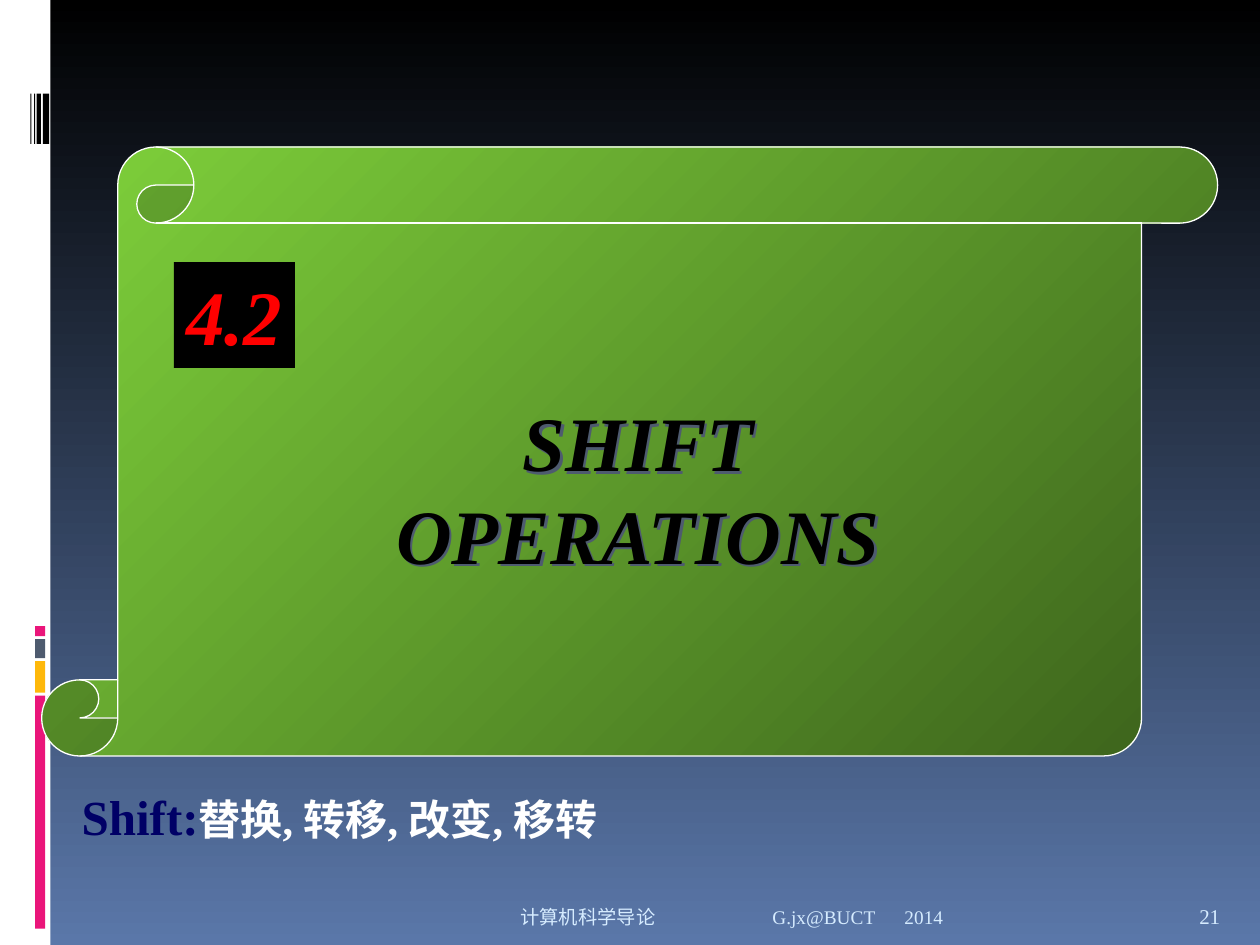
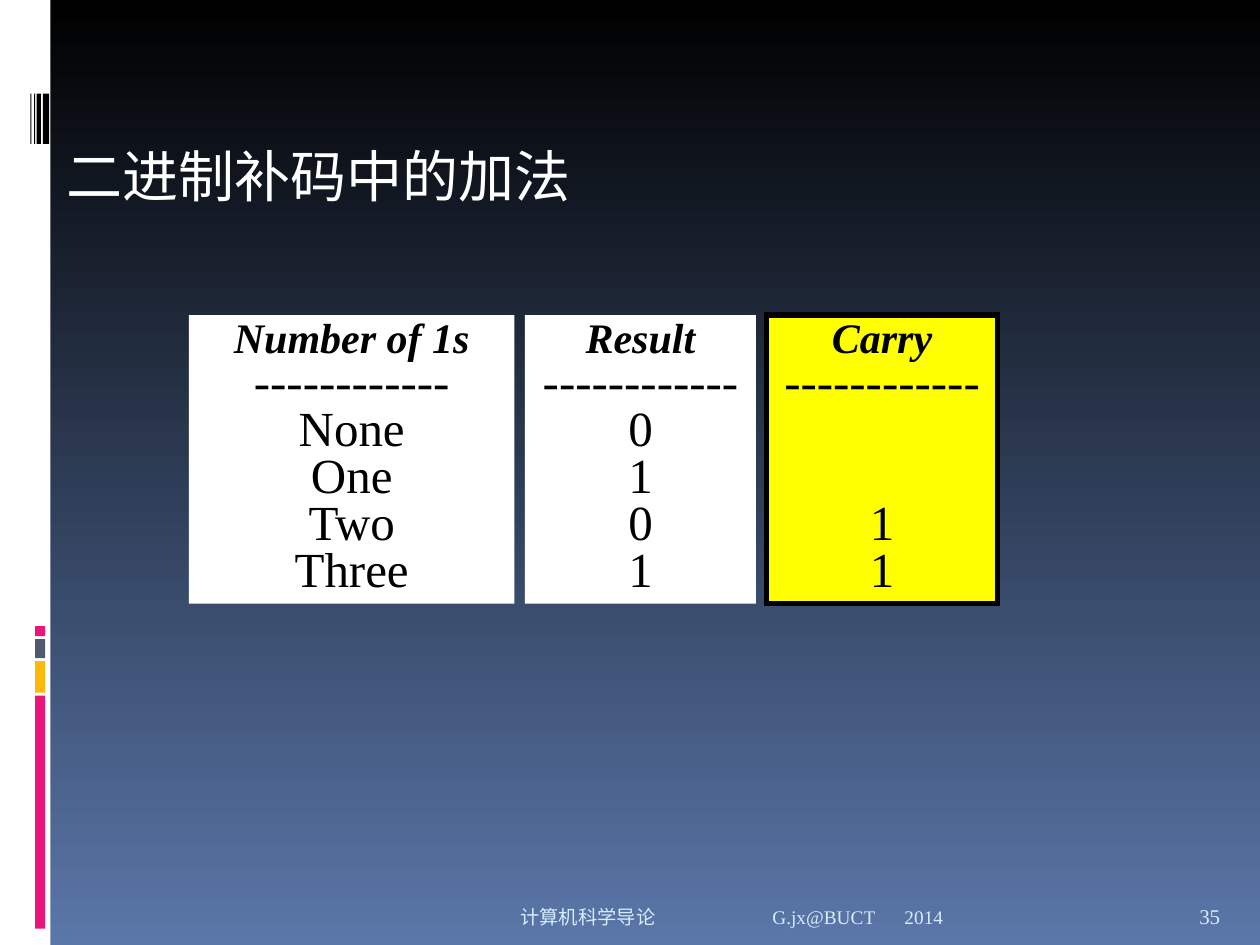
from lxml.etree import SubElement
from pptx import Presentation
from pptx.dml.color import RGBColor
from pptx.enum.shapes import MSO_SHAPE
from pptx.enum.text import MSO_ANCHOR, PP_ALIGN
from pptx.oxml.ns import qn
from pptx.util import Pt

FONT = "Times New Roman"
WHITE, BLACK, RED, YELLOW = "FFFFFF", "000000", "FF0000", "FFFF00"
PINK, AMBER, SLATE = "EA157A", "FEB80A", "4E5B6F"
PALE_BLUE, NAVY, SKY = "D6ECFF", "000066", "5A77A9"
GREEN, DARK_GREEN = "7FD13B", "3B611B"
SLIDE_WIDTH, SLIDE_HEIGHT = 720, 540
CONTENT_BOX = (28.8, 0, 691.2, 540)


def color(hex_string):
    """Return the colour for a hex string."""
    return RGBColor.from_string(hex_string)


def set_gradient(fill, start, end, angle):
    """Apply a two-colour linear gradient, angle counter-clockwise."""
    fill.gradient()
    fill.gradient_angle = angle
    for stop, position, hex_string in zip(fill.gradient_stops, (0, 1), (start, end)):
        stop.position = position
        stop.color.rgb = color(hex_string)


def add_box(slide, left, top, width, height, fill=None, line=None,
            line_width=0.75, kind=MSO_SHAPE.RECTANGLE):
    """Add a preset shape without shadow and return it."""
    shape = slide.shapes.add_shape(kind, Pt(left), Pt(top), Pt(width), Pt(height))
    shape.shadow.inherit = False
    if fill:
        shape.fill.solid()
        shape.fill.fore_color.rgb = color(fill)
    if line:
        shape.line.color.rgb = color(line)
        shape.line.width = Pt(line_width)
        SubElement(shape._element.spPr.find(qn("a:ln")), qn("a:miter"), lim="800000")
    else:
        shape.line.fill.background()
    return shape


def add_text_box(slide, left, top, width, height):
    """Add an empty text box and return it."""
    return slide.shapes.add_textbox(Pt(left), Pt(top), Pt(width), Pt(height))


def add_text_shadow(box):
    """Cast a small shadow from the text of an unfilled box."""
    effects = SubElement(box._element.spPr, qn("a:effectLst"))
    shadow = SubElement(effects, qn("a:outerShdw"), dist=str(Pt(2)), dir="2700000",
                        algn="ctr", rotWithShape="0")
    SubElement(shadow, qn("a:srgbClr"), val=SLATE)


def add_tab_stops(paragraph):
    """Put a left tab stop at every inch."""
    tab_list = SubElement(paragraph._p.get_or_add_pPr(), qn("a:tabLst"))
    for index in range(8):
        SubElement(tab_list, qn("a:tab"), pos=str(Pt(72 * index)), algn="l")


def add_run(paragraph, text, size=28, hex_color=BLACK, bold=False, italic=False):
    """Append a formatted run to a paragraph."""
    run = paragraph.add_run()
    run.text = text
    font = run.font
    font.name, font.size, font.bold, font.italic = FONT, Pt(size), bold, italic
    font.color.rgb = color(hex_color)


def write_text(shape, text, align=PP_ALIGN.LEFT, anchor=MSO_ANCHOR.TOP,
               wrap=True, tabs=False, **run_format):
    """Write lines of text with one format and return the last paragraph."""
    frame = shape.text_frame
    frame.word_wrap = wrap
    frame.vertical_anchor = anchor
    for index, line in enumerate(text.split("\n")):
        paragraph = frame.add_paragraph() if index else frame.paragraphs[0]
        paragraph.alignment = align
        if tabs:
            add_tab_stops(paragraph)
        add_run(paragraph, line, **run_format)
    return paragraph


def add_side_band(slide, left, top, width, height):
    """Draw the white band with its colour stack and bar code."""
    add_box(slide, left, top, width, height, fill=WHITE)
    stack_top, gap = top + 357.8, 1.7
    for bar_height, fill in ((5.76, PINK), (10.8, SLATE), (18, AMBER), (133.2, PINK)):
        add_box(slide, left + 20, stack_top, 5.76, bar_height, fill=fill)
        stack_top += bar_height + gap
    for offset, stripe in ((17.28, 0.72), (19.44, 0.72), (20.88, 2.52), (24.48, 3.6)):
        add_box(slide, left + offset, top + 53.5, stripe, 28.8, fill=BLACK)


def add_footer(slide, left, top, width, height, number):
    """Write course, year and slide number in one row."""
    parts = (
        (0, 437.76, "计算机科学导论\tG.jx@BUCT", 11, PP_ALIGN.RIGHT),
        (437.76, 168, "2014", 11, PP_ALIGN.LEFT),
        (606.24, width - 606.24, str(number), 12, PP_ALIGN.LEFT),
    )
    for offset, part_width, text, size, align in parts:
        box = add_text_box(slide, left + offset, top, part_width, height)
        write_text(box, text, align=align, anchor=MSO_ANCHOR.BOTTOM, tabs=True,
                   size=size, hex_color=PALE_BLUE)
        if align == PP_ALIGN.RIGHT:
            box.text_frame.margin_right = Pt(9.5)


def add_base_slide(presentation):
    """Add a blank slide with the shared background and side band."""
    slide = presentation.slides.add_slide(presentation.slide_layouts[6])
    set_gradient(slide.background.fill, BLACK, SKY, 270)
    add_side_band(slide, 0, 0, 28.8, SLIDE_HEIGHT)
    return slide


def add_scroll(slide, left, top, width, height, number, title):
    """Draw the scroll with section number and title."""
    scroll = add_box(slide, left, top, width, height, line=WHITE,
                     kind=MSO_SHAPE.VERTICAL_SCROLL)
    scroll.adjustments[0] = 0.125
    set_gradient(scroll.fill, GREEN, DARK_GREEN, 315)
    heading = {"align": PP_ALIGN.CENTER, "wrap": False, "size": 44,
               "bold": True, "italic": True}
    title_box = add_text_box(slide, left + 194.4, top + 138, 293, 113)
    add_text_shadow(title_box)
    write_text(title_box, title, **heading)
    number_box = add_box(slide, left + 75.6, top + 65.8, 69.1, 60.4, fill=BLACK)
    write_text(number_box, number, hex_color=RED, **heading)


def add_section_slide(presentation, left, top, width, height):
    """Build the section opener with its glossary line."""
    slide = add_base_slide(presentation)
    add_scroll(slide, left - 5, top + 84, 672, 348, "4.2", "SHIFT\nOPERATIONS")
    glossary = add_text_box(slide, left + 10.8, top + 445.7, 400, 41)
    paragraph = write_text(glossary, "Shift:", size=28, hex_color=NAVY, bold=True)
    add_run(paragraph, "替换, 转移, 改变, 移转", size=24, hex_color=WHITE, bold=True)
    add_footer(slide, left + 43.2, top + 505.4, width - 48.96, 28.8, 21)


def add_column(slide, left, top, width, height, heading, values, skipped_rows=0,
               **box_format):
    """Draw one column of the addition rules."""
    column = add_box(slide, left, top, width, height, **box_format)
    paragraph = write_text(column, heading, align=PP_ALIGN.CENTER,
                           size=24, bold=True, italic=True)
    paragraph.line_spacing = 0.8
    paragraph.add_line_break()
    add_run(paragraph, "------------")
    for index, value in enumerate(values):
        paragraph = column.text_frame.add_paragraph()
        paragraph.alignment = PP_ALIGN.CENTER
        paragraph.line_spacing = 0.8
        if index == 0 and skipped_rows:
            paragraph.space_before = Pt(26.8 * skipped_rows)
        add_run(paragraph, value)


def add_rule_columns(slide, left, top, width, height):
    """Lay out the three rule columns with equal gaps."""
    gap, first_width = 6, 186
    other_width = (width - first_width - 2 * gap) / 2
    add_column(slide, left, top, first_width, height, "Number of 1s",
               ("None", "One", "Two", "Three"), fill=WHITE)
    left += first_width + gap
    add_column(slide, left, top, other_width, height, "Result", "0101", fill=WHITE)
    left += other_width + gap
    add_column(slide, left, top, other_width, height, "Carry", "11", skipped_rows=2,
               fill=YELLOW, line=BLACK, line_width=3)


def add_addition_slide(presentation, left, top, width, height):
    """Build the slide on two's complement addition."""
    slide = add_base_slide(presentation)
    add_rule_columns(slide, left + 79.2, top + 180, 462, 165)
    title = add_text_box(slide, left + 2.2, top + 77.3, 360, 46)
    write_text(title, "二进制补码中的加法", size=32, hex_color=WHITE)
    add_footer(slide, left + 43.2, top + 505.4, width - 48.96, 28.8, 35)


def main():
    """Build and save the presentation."""
    presentation = Presentation()
    presentation.slide_width = Pt(SLIDE_WIDTH)
    presentation.slide_height = Pt(SLIDE_HEIGHT)
    add_section_slide(presentation, *CONTENT_BOX)
    add_addition_slide(presentation, *CONTENT_BOX)
    presentation.save("out.pptx")


if __name__ == "__main__":
    main()
